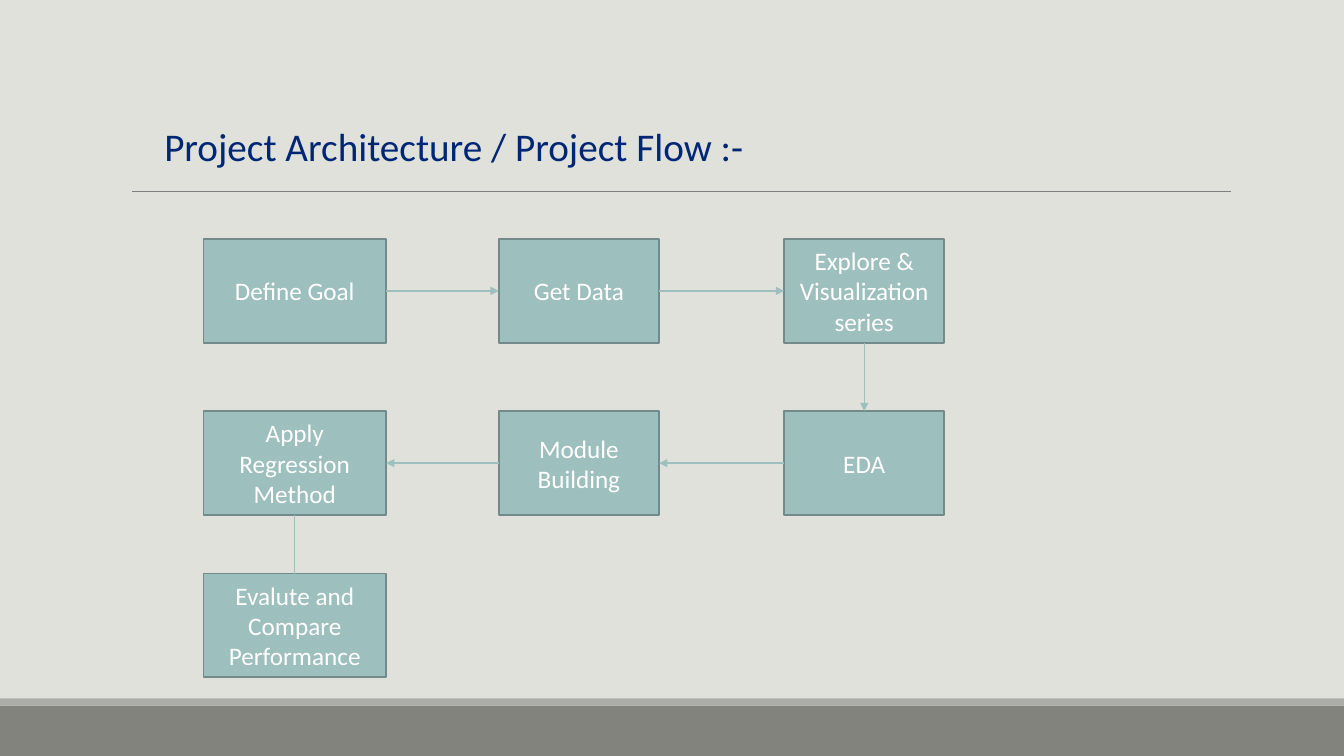
"""Builds the project flow slide: seven steps in a snaking flowchart."""
from dataclasses import dataclass

from lxml import etree
from pptx import Presentation
from pptx.dml.color import RGBColor
from pptx.enum.shapes import MSO_CONNECTOR, MSO_SHAPE
from pptx.enum.text import MSO_ANCHOR, MSO_AUTO_SIZE, PP_ALIGN
from pptx.oxml.ns import qn
from pptx.util import Cm, Pt

RECTANGLE = MSO_SHAPE.RECTANGLE
STRAIGHT = MSO_CONNECTOR.STRAIGHT
LEFT, CENTER = PP_ALIGN.LEFT, PP_ALIGN.CENTER
TOP_ANCHOR, MIDDLE_ANCHOR = MSO_ANCHOR.TOP, MSO_ANCHOR.MIDDLE
NO_AUTOFIT = MSO_AUTO_SIZE.NONE
TOP_SIDE, LEFT_SIDE, BOTTOM_SIDE, RIGHT_SIDE = range(4)

TITLE = "Project Architecture / Project Flow :-"
STEPS = [
    ("Define Goal", 0, 0),
    ("Get Data", 1, 0),
    ("Explore & Visualization series", 2, 0),
    ("EDA", 2, 1),
    ("Module Building", 1, 1),
    ("Apply Regression Method", 0, 1),
    ("Evalute and Compare Performance", 0, 2),
]
SIDES = {
    (1, 0): (RIGHT_SIDE, LEFT_SIDE),
    (-1, 0): (LEFT_SIDE, RIGHT_SIDE),
    (0, 1): (BOTTOM_SIDE, TOP_SIDE),
}
COLUMNS = [(5.13, 4.6), (12.57, 4.04), (19.76, 4.04)]
ROWS = [6.02, 10.36, 14.45]
STEP_HEIGHT = 2.62
LAST_ARROW_OVERLAP = 0.38
SLIDE_WIDTH, SLIDE_HEIGHT = 33.87, 19.05
BANDS = [(17.78, 1.27, "82837C"), (17.6, 0.18, "ACADA8")]
RULE_LEFT, RULE_RIGHT, RULE_TOP = 3.33, 31.01, 4.83


@dataclass(frozen=True)
class Theme:
    font: str = "Calibri"
    background: str = "E1E1DB"
    rule: str = "7F7F7F"
    title: str = "002776"
    step_fill: str = "9DBFBE"
    step_line: str = "728B8A"
    step_text: str = "FFFFFF"
    title_size: float = 28
    step_size: float = 18
    step_line_width: float = 1.25
    arrow_width: float = 1
    rule_width: float = 0.75


THEME = Theme()


def rgb(color):
    return RGBColor.from_string(color)


def write_text(shape, text, size, color, alignment, anchor, margins):
    frame = shape.text_frame
    frame.text = text
    frame.word_wrap = True
    frame.auto_size = NO_AUTOFIT
    frame.vertical_anchor = anchor
    frame.margin_left = frame.margin_right = Cm(margins[0])
    frame.margin_top = frame.margin_bottom = Cm(margins[1])
    paragraph = frame.paragraphs[0]
    paragraph.alignment = alignment
    paragraph.font.name = THEME.font
    paragraph.font.size = Pt(size)
    paragraph.font.color.rgb = rgb(color)


def add_rectangle(slide, left, top, width, height, fill):
    shape = slide.shapes.add_shape(RECTANGLE, Cm(left), Cm(top), Cm(width), Cm(height))
    shape.shadow.inherit = False
    shape.fill.solid()
    shape.fill.fore_color.rgb = rgb(fill)
    shape.line.fill.background()
    return shape


def add_line(slide, start, end, color, width, arrow=False):
    connector = slide.shapes.add_connector(STRAIGHT, *start, *end)
    connector.line.color.rgb = rgb(color)
    connector.line.width = Pt(width)
    if arrow:
        etree.SubElement(connector.line._get_or_add_ln(), qn("a:tailEnd"), type="triangle")
    etree.SubElement(connector._element.spPr, qn("a:effectLst"))
    return connector


def add_frame(slide):
    slide.background.fill.solid()
    slide.background.fill.fore_color.rgb = rgb(THEME.background)
    for top, height, color in BANDS:
        add_rectangle(slide, 0, top, SLIDE_WIDTH, height, color)
    add_line(slide, (Cm(RULE_LEFT), Cm(RULE_TOP)), (Cm(RULE_RIGHT), Cm(RULE_TOP)),
             THEME.rule, THEME.rule_width)
    title = slide.shapes.title
    title.left, title.top, title.width, title.height = Cm(4.01), Cm(2.95), Cm(20.62), Cm(1.45)
    write_text(title, TITLE, THEME.title_size, THEME.title, LEFT, TOP_ANCHOR, (0.13, 0.13))


def add_step(slide, text, column, row):
    left, width = COLUMNS[column]
    shape = add_rectangle(slide, left, ROWS[row], width, STEP_HEIGHT, THEME.step_fill)
    shape.line.color.rgb = rgb(THEME.step_line)
    shape.line.width = Pt(THEME.step_line_width)
    write_text(shape, text, THEME.step_size, THEME.step_text, CENTER, MIDDLE_ANCHOR, (0.27, 0.1))
    return shape


def add_arrows(slide, shapes):
    for index, (source, target) in enumerate(zip(shapes, shapes[1:])):
        _, column, row = STEPS[index]
        _, next_column, next_row = STEPS[index + 1]
        source_side, target_side = SIDES[next_column - column, next_row - row]
        end = (target.left + target.width // 2, target.top + Cm(LAST_ARROW_OVERLAP))
        start = (source.left + source.width // 2, source.top + source.height)
        arrow = add_line(slide, start, end, THEME.step_fill, THEME.arrow_width, arrow=True)
        arrow.begin_connect(source, source_side)
        if target is not shapes[-1]:
            arrow.end_connect(target, target_side)


def main():
    presentation = Presentation()
    presentation.slide_width, presentation.slide_height = Cm(SLIDE_WIDTH), Cm(SLIDE_HEIGHT)
    slide = presentation.slides.add_slide(presentation.slide_layouts[5])
    add_frame(slide)
    add_arrows(slide, [add_step(slide, *step) for step in STEPS])
    presentation.save("out.pptx")


if __name__ == "__main__":
    main()
